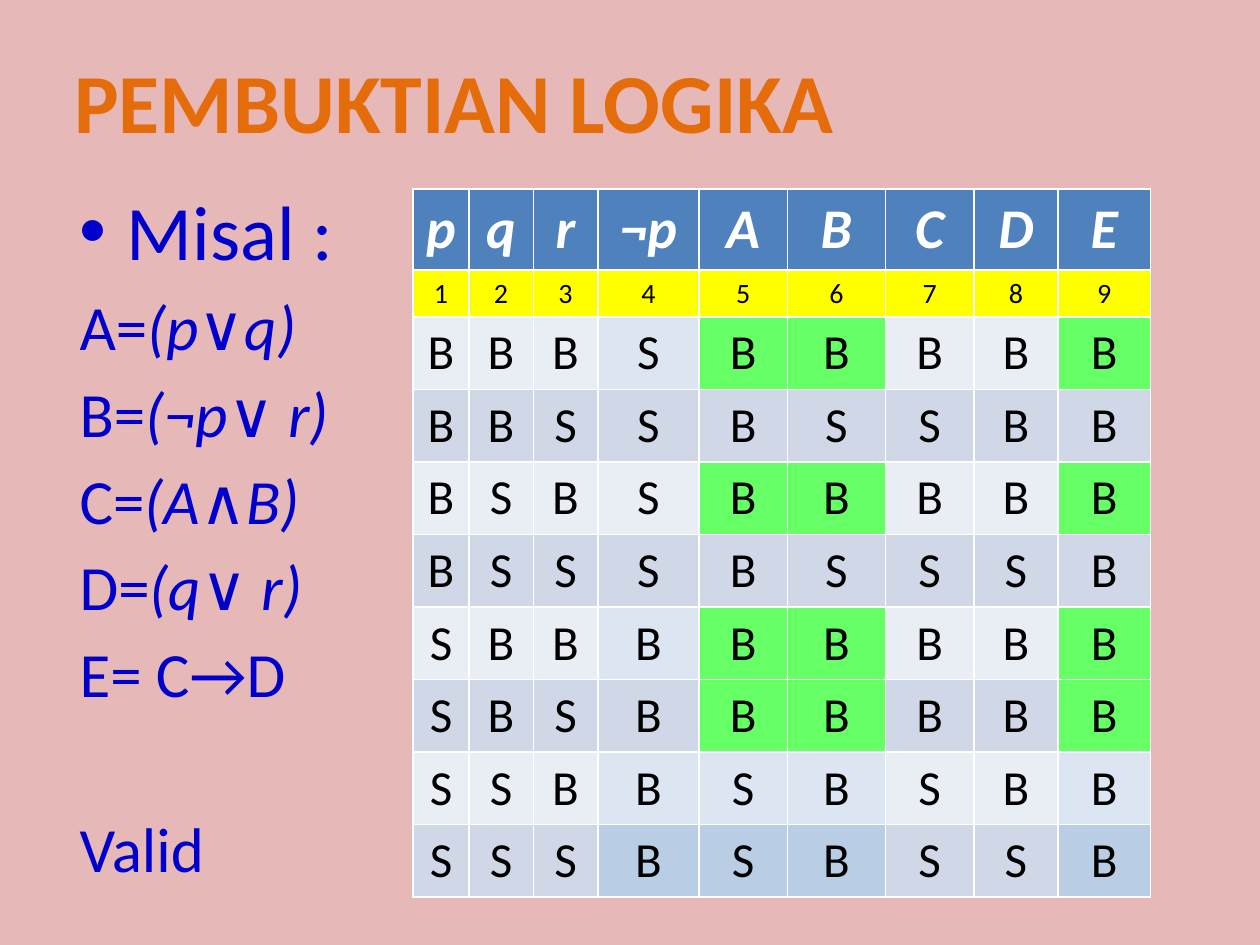
"""Build the truth table slide for a logic proof."""
from lxml.etree import SubElement as Sub
from pptx import Presentation as Deck
from pptx.dml.color import RGBColor as Rgb
from pptx.enum.text import MSO_ANCHOR as Anchor, MSO_AUTO_SIZE as Fit, PP_ALIGN as Align
from pptx.oxml.ns import qn
from pptx.util import Cm, Pt

HUES = {
    "back": "E6B9B8", "title": "E46C0A", "list": "0000CC", "white": "FFFFFF",
    "black": "000000", "head": "4F81BD", "index": "FFFF00", "true": "66FF66",
    "odd": "E9EDF4", "even": "D0D8E8", "pale": "DCE6F2", "deep": "B9CDE5",
}
TITLE = "PEMBUKTIAN LOGIKA"
LINES = [
    (("Misal :", False),),
    (("A=", False), ("(p∨q)", True)),
    (("B=", False), ("(¬p∨ r)", True)),
    (("C=", False), ("(A∧B)", True)),
    (("D=", False), ("(q∨ r)", True)),
    (("E= C→D", False),),
    (("Valid", False),),
]
HEADS = ["p", "q", "r", "¬p", "A", "B", "C", "D", "E"]
TRUTH = [
    "BBBSBBBBB", "BBSSBSSBB", "BSBSBBBBB", "BSSSBSSSB",
    "SBBBBBBBB", "SBSBBBBBB", "SSBBSBSBB", "SSSBSBSSB",
]
TINTS = {0: (3,), 4: (3,), 6: (3, 4, 5, 8), 7: (3, 4, 5, 8)}
KEYS = (4, 5, 8)
WIDTHS = [1.12, 1.3, 1.3, 2.04, 1.78, 1.98, 1.78, 1.7, 1.86]
TALLS = [1.61, 0.93] + [1.44] * len(TRUTH)
FORMS = {
    "title": {"size": Pt(48), "bold": True},
    "lead": {"size": Pt(44)},
    "item": {"size": Pt(36)},
    "head": {"size": Pt(32), "bold": True, "italic": True},
    "index": {"size": Pt(16), "bold": False},
    "truth": {"size": Pt(28), "bold": False},
}


def paint(fill, hue):
    fill.solid()
    fill.fore_color.rgb = Rgb.from_string(HUES[hue])


def write(para, text, form, hue, **more):
    run = para.add_run()
    run.text = text
    for key, val in {"name": "Calibri", **FORMS[form], **more}.items():
        setattr(run.font, key, val)
    run.font.color.rgb = Rgb.from_string(HUES[hue])


def place(shape, left, top, width, height):
    shape.left, shape.top, shape.width, shape.height = map(
        Cm, (left, top, width, height))


def shade(row, col):
    if col in KEYS and TRUTH[row][4:6] == "BB":
        return "true"
    plain, tint = (("odd", "pale"), ("even", "deep"))[row % 2]
    return tint if col in TINTS.get(row, ()) else plain


def add_title(slide):
    title = slide.shapes.title
    place(title, 0.94, 0.86, 16.43, 2.31)
    frame = title.text_frame
    frame.word_wrap = False
    frame.auto_size = Fit.NONE
    frame.vertical_anchor = Anchor.MIDDLE
    para = frame.paragraphs[0]
    para.alignment = Align.CENTER
    write(para, TITLE, "title", "title")


def add_list(slide):
    body = slide.placeholders[1]
    place(body, 1.35, 3.58, 22.86, 14.3)
    frame = body.text_frame
    frame.auto_size = Fit.NONE
    for num, parts in enumerate(LINES):
        para = frame.add_paragraph() if num else frame.paragraphs[0]
        para.space_before = Pt(6.4 if num else 2)
        if num:
            Sub(para._p.get_or_add_pPr(), qn("a:buNone"))
        for text, slant in parts:
            write(para, text, "item" if num else "lead", "list", italic=slant)
    para.space_before = Pt(56.7)


def add_grid(slide):
    rows = [(HEADS, "head", "white", lambda col: "head"),
            (range(1, len(HEADS) + 1), "index", "black", lambda col: "index")]
    rows += [(vals, "truth", "black", lambda col, row=row: shade(row, col))
             for row, vals in enumerate(TRUTH)]
    grid = slide.shapes.add_table(
        len(rows), len(HEADS), Cm(8.33), Cm(3.81),
        Cm(sum(WIDTHS)), Cm(sum(TALLS))).table
    for col, width in zip(grid.columns, WIDTHS):
        col.width = Cm(width)
    for row, tall in zip(grid.rows, TALLS):
        row.height = Cm(tall)
    for line, (vals, form, hue, pick) in zip(grid.rows, rows):
        for col, (cell, val) in enumerate(zip(line.cells, vals)):
            paint(cell.fill, pick(col))
            para = cell.text_frame.paragraphs[0]
            para.alignment = Align.CENTER
            write(para, str(val), form, hue)


def main():
    deck = Deck()
    deck.slide_width, deck.slide_height = Cm(25.4), Cm(19.05)
    slide = deck.slides.add_slide(deck.slide_layouts[1])
    paint(slide.background.fill, "back")
    add_title(slide)
    add_list(slide)
    add_grid(slide)
    deck.save("out.pptx")


if __name__ == "__main__":
    main()
